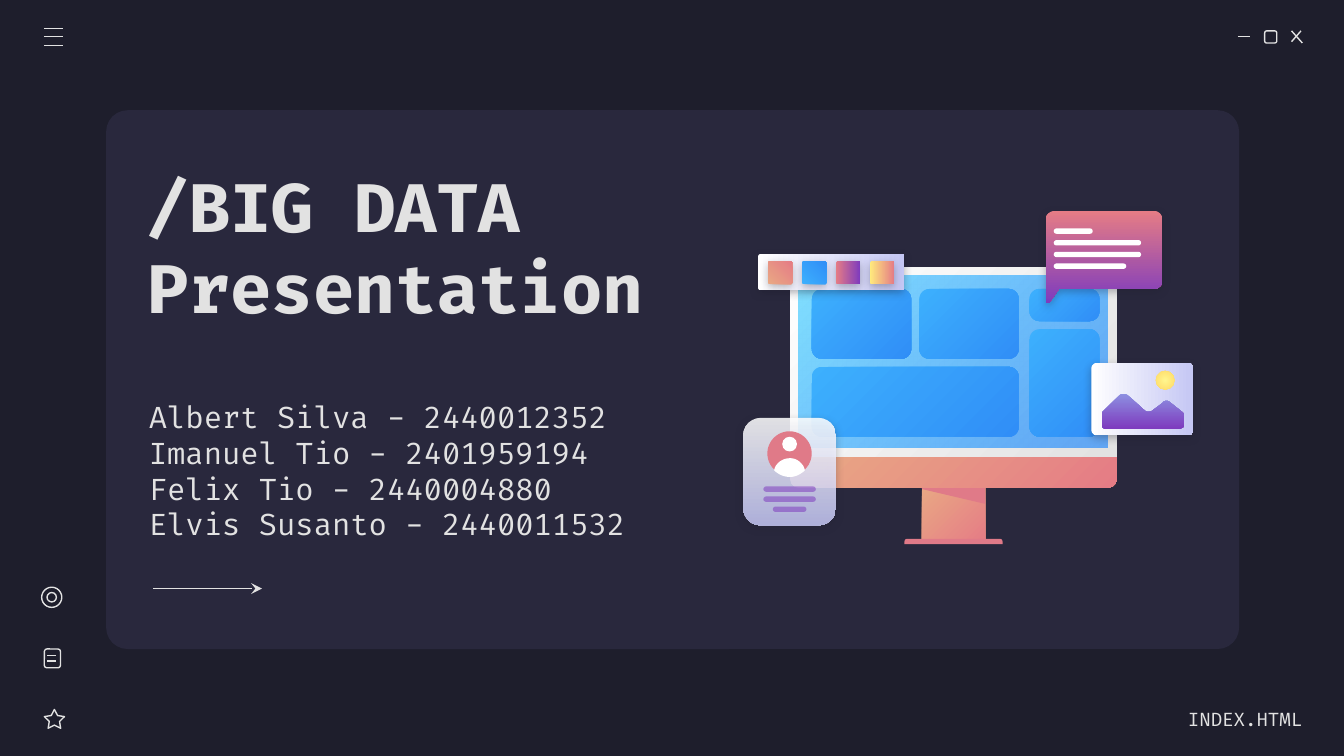
from lxml.etree import SubElement
from pptx import Presentation
from pptx.dml.color import RGBColor
from pptx.enum.shapes import MSO_CONNECTOR, MSO_SHAPE
from pptx.enum.text import MSO_ANCHOR, MSO_AUTO_SIZE, PP_ALIGN
from pptx.oxml.ns import qn
from pptx.util import Cm, Pt

INCH = 2.54  # the layout grid below is in inches
NIGHT = RGBColor(0x1E, 0x1E, 0x2C)
PANEL = RGBColor(0x29, 0x28, 0x3D)
PALE = RGBColor(0xE2, 0xE2, 0xE2)
WHITE = RGBColor(0xFF, 0xFF, 0xFF)
PEACH = RGBColor(0xE9, 0xA9, 0x84)
CORAL = RGBColor(0xE5, 0x7C, 0x85)
ROSE = RGBColor(0xE0, 0x7A, 0x88)
PLUM = RGBColor(0x7E, 0x3B, 0xBE)
LILAC = RGBColor(0xC5, 0xC7, 0xF4)
IRIS = RGBColor(0x8D, 0x90, 0xE1)
AQUA = RGBColor(0x80, 0xDF, 0xFF)
AZURE = RGBColor(0x31, 0x8F, 0xFA)
SKY = RGBColor(0x3D, 0xB0, 0xFD)
BLUE = RGBColor(0x30, 0x8E, 0xF7)
LEMON = RGBColor(0xFF, 0xF6, 0x8E)
GOLD = RGBColor(0xFF, 0xD9, 0x66)
MAIZE = RGBColor(0xFF, 0xEA, 0x7D)
RECT, ROUND, OVAL = MSO_SHAPE.RECTANGLE, MSO_SHAPE.ROUNDED_RECTANGLE, MSO_SHAPE.OVAL
TOP = MSO_SHAPE.ROUND_2_SAME_RECTANGLE

deck = Presentation()
deck.slide_width, deck.slide_height = Cm(25.4), Cm(14.29)
slide = deck.slides.add_slide(deck.slide_layouts[5])
slide.background.fill.solid()
slide.background.fill.fore_color.rgb = NIGHT
shapes = slide.shapes


def bend(*steps):
    """Turn points and cubic curves (six numbers) into a list of points."""
    dots = []
    for step in steps:
        if len(step) == 2:
            dots.append(step)
            continue
        knots = [dots[-1], step[:2], step[2:4], step[4:]]
        for t in (n / 8 for n in range(1, 9)):
            mix = ((1 - t) ** 3, 3 * t * (1 - t) ** 2, 3 * t * t * (1 - t), t ** 3)
            dots.append(tuple(sum(m * k[axis] for m, k in zip(mix, knots)) for axis in (0, 1)))
    return dots


def block(kind, box, *tints, angle=45, radius=0, fade=(), shade=False, turn=0):
    """Add a preset shape, or an outline given as points; no tint means line only."""
    if isinstance(kind, list):
        dots = [(Cm(x * INCH), Cm(y * INCH)) for x, y in kind]
        pen = shapes.build_freeform(*dots[0])
        pen.add_line_segments(dots[1:])
        item = pen.convert_to_shape()
    else:
        item = shapes.add_shape(kind, *[Cm(v * INCH) for v in box])
    if radius:
        item.adjustments[0] = radius / min(box[2:])
    item.rotation = turn
    item.shadow.inherit = False
    props = item.element.spPr
    if len(tints) == 2:
        item.fill.gradient()
        item.fill.gradient_angle = (360 - angle) % 360
        for stop, tint in zip(item.fill.gradient_stops, tints):
            stop.color.rgb = tint
    elif tints:
        item.fill.solid()
        item.fill.fore_color.rgb = tints[0]
    else:
        item.fill.background()
        item.line.color.rgb, item.line.width = PALE, Pt(0.75)
    for tint, share in zip(list(props.iter(qn("a:srgbClr"))), fade):
        SubElement(tint, qn("a:alpha"), val=str(share * 1000))
    if tints:
        item.line.fill.background()
    if shade:
        cast = SubElement(props.find(qn("a:effectLst")), qn("a:outerShdw"),
                          blurRad=str(Pt(4.5)), dist=str(Pt(1.5)), dir="5400000",
                          algn="bl", rotWithShape="0")
        tone = SubElement(cast, qn("a:srgbClr"), val=str(NIGHT))
        SubElement(tone, qn("a:alpha"), val="30000")
    return item


# Panel and window button
block(ROUND, (0.79, 0.82, 8.43, 4.01), PANEL, radius=0.16)
block(ROUND, (9.41, 0.23, 0.09, 0.09), radius=0.015)

# Monitor
block(RECT, (6.86, 3.61, 0.47, 0.43), PEACH, CORAL)
block(TOP, (6.73, 4.01, 0.73, 0.04), ROSE, radius=0.02)
block([(6.86, 3.61), (6.86, 3.64), (7.33, 3.75), (7.33, 3.61)], None, ROSE)
chin = block(TOP, (5.88, 3.39, 2.43, 0.24), PEACH, CORAL)
chin.adjustments[0], chin.adjustments[1] = 0, 0.27
block(TOP, (5.88, 1.99, 2.43, 1.41), WHITE, PALE, radius=0.06)
block(RECT, (5.94, 2.05, 2.3, 1.28), AQUA, AZURE, fade=(100, 72))
for tile in ((6.04, 2.15, 0.74, 0.52), (6.04, 2.73, 1.54, 0.52), (6.84, 2.15, 0.74, 0.52),
             (7.66, 2.15, 0.52, 0.24), (7.66, 2.45, 0.52, 0.8)):
    block(ROUND, tile, SKY, BLUE, radius=0.075)

# Speech bubble
bubble = bend((7.85, 1.57), (7.81, 1.57, 7.78, 1.6, 7.78, 1.64), (7.78, 2.24),
              (7.78, 2.25, 7.8, 2.26, 7.81, 2.25), (7.88, 2.15), (8.59, 2.15),
              (8.62, 2.15, 8.65, 2.12, 8.65, 2.09), (8.65, 1.64),
              (8.65, 1.6, 8.62, 1.57, 8.59, 1.57))
block(bubble, None, CORAL, PLUM, angle=90, shade=True)
for row, wide in enumerate((0.29, 0.65, 0.65, 0.54)):
    block(ROUND, (7.84, 1.7 + row * 0.087, wide, 0.04), WHITE, radius=0.02)

# Profile card
block(ROUND, (5.53, 3.11, 0.69, 0.8), WHITE, LILAC, angle=90, radius=0.13,
      fade=(86, 86), shade=True)
block(OVAL, (5.71, 3.21, 0.33, 0.33), ROSE)
block(OVAL, (5.82, 3.25, 0.11, 0.11), WHITE)
torso = bend((5.88, 3.41), (5.82, 3.41, 5.77, 3.45, 5.76, 3.5),
             (5.79, 3.53, 5.83, 3.55, 5.88, 3.55), (5.92, 3.55, 5.96, 3.53, 5.99, 3.5),
             (5.98, 3.45, 5.93, 3.41, 5.88, 3.41))
block(torso, None, WHITE)
for row, wide in enumerate((0.39, 0.39, 0.25)):
    block(ROUND, (5.875 - wide / 2, 3.62 + row * 0.075, wide, 0.04), PLUM,
          radius=0.02, fade=(54,))

# Picture card
block(ROUND, (8.23, 2.59, 0.54, 0.76), WHITE, LILAC, angle=90, radius=0.04,
      shade=True, turn=270)
hills = bend((8.36, 2.93), (8.35, 2.93, 8.34, 2.93, 8.33, 2.94), (8.21, 3.06),
             (8.2, 3.07, 8.2, 3.07, 8.2, 3.08), (8.2, 3.16),
             (8.2, 3.18, 8.21, 3.19, 8.23, 3.19), (8.77, 3.19),
             (8.79, 3.19, 8.81, 3.18, 8.81, 3.16), (8.81, 3.09),
             (8.81, 3.08, 8.8, 3.07, 8.8, 3.07), (8.7, 2.99),
             (8.69, 2.98, 8.66, 2.98, 8.65, 3), (8.57, 3.06),
             (8.55, 3.07, 8.53, 3.07, 8.51, 3.05), (8.39, 2.94),
             (8.38, 2.93, 8.37, 2.93, 8.36, 2.93))
block(hills, None, IRIS, PLUM, angle=90)
sun = block(OVAL, (8.6, 2.76, 0.14, 0.14), LEMON, GOLD)
blend = sun.element.spPr.find(qn("a:gradFill"))
blend.remove(blend.find(qn("a:lin")))
glow = SubElement(blend, qn("a:path"), path="circle")
SubElement(glow, qn("a:fillToRect"), l="50000", t="50000", r="50000", b="50000")

# Colour palette
block(ROUND, (6.05, 1.48, 0.27, 1.09), WHITE, LILAC, angle=90, radius=0.02,
      shade=True, turn=270)
for col, (*tints, angle) in enumerate(((PEACH, CORAL, 45), (SKY, BLUE, 45),
                                       (CORAL, PLUM, 90), (MAIZE, CORAL, 90))):
    block(ROUND, (5.72 + col * 0.253, 1.94, 0.17, 0.18), *tints, angle=angle,
          radius=0.012, shade=True, turn=270)

# Side icons
star = block(MSO_SHAPE.STAR_5_POINT, (0.33, 5.28, 0.15, 0.14))
star.adjustments[0] = 0.254
block(ROUND, (0.33, 4.83, 0.12, 0.14), radius=0.02)
block(OVAL, (0.31, 4.37, 0.15, 0.15))
block(OVAL, (0.35, 4.41, 0.07, 0.07))

# Lines: menu, window buttons, note icon and, last, the arrow
for ends in ((0.33, 0.21, 0.47, 0.21), (0.33, 0.27, 0.47, 0.27), (0.33, 0.34, 0.47, 0.34),
             (9.21, 0.27, 9.3, 0.27), (9.61, 0.23, 9.69, 0.32), (9.68, 0.23, 9.61, 0.31),
             (0.35, 4.88, 0.42, 4.88), (0.35, 4.92, 0.42, 4.92), (1.14, 4.38, 1.95, 4.38)):
    line = shapes.add_connector(MSO_CONNECTOR.STRAIGHT, *[Cm(v * INCH) for v in ends])
    line.line.color.rgb, line.line.width = PALE, Pt(0.75)
    SubElement(line.element.spPr, qn("a:effectLst"))
SubElement(line.line._get_or_add_ln(), qn("a:tailEnd"), type="stealth")

# Title, names and file label
title = shapes.title
title.element.getparent().append(title.element)  # in front of the panel
names = ("Albert Silva - 2440012352", "Imanuel Tio - 2401959194",
         "Felix Tio - 2440004880", "Elvis Susanto - 2440011532")
inset = Cm(0.1 * INCH)
for item, box, words, size, bold, align, right in (
        (title, (1, 0.95, 4.47, 1.76), "/BIG DATA Presentation", 36, True, PP_ALIGN.LEFT, inset),
        (None, (1.01, 2.7, 4.24, 1.6), "\n".join(names), 16, False, PP_ALIGN.LEFT, inset),
        (None, (8.52, 5.2, 1.17, 0.3), "INDEX.HTML", 10, False, PP_ALIGN.RIGHT, 0)):
    item = item or shapes.add_textbox(0, 0, 0, 0)
    item.left, item.top, item.width, item.height = [Cm(v * INCH) for v in box]
    frame = item.text_frame
    frame.text = words
    for key, value in {"word_wrap": True, "auto_size": MSO_AUTO_SIZE.NONE,
                       "vertical_anchor": MSO_ANCHOR.MIDDLE, "margin_left": inset,
                       "margin_right": right, "margin_top": inset,
                       "margin_bottom": inset}.items():
        setattr(frame, key, value)
    for para in frame.paragraphs:
        para.alignment = align
        font = para.runs[0].font
        font.color.rgb = PALE
        for key, value in {"name": "Fira Code", "size": Pt(size), "bold": bold}.items():
            setattr(font, key, value)

deck.save("out.pptx")
